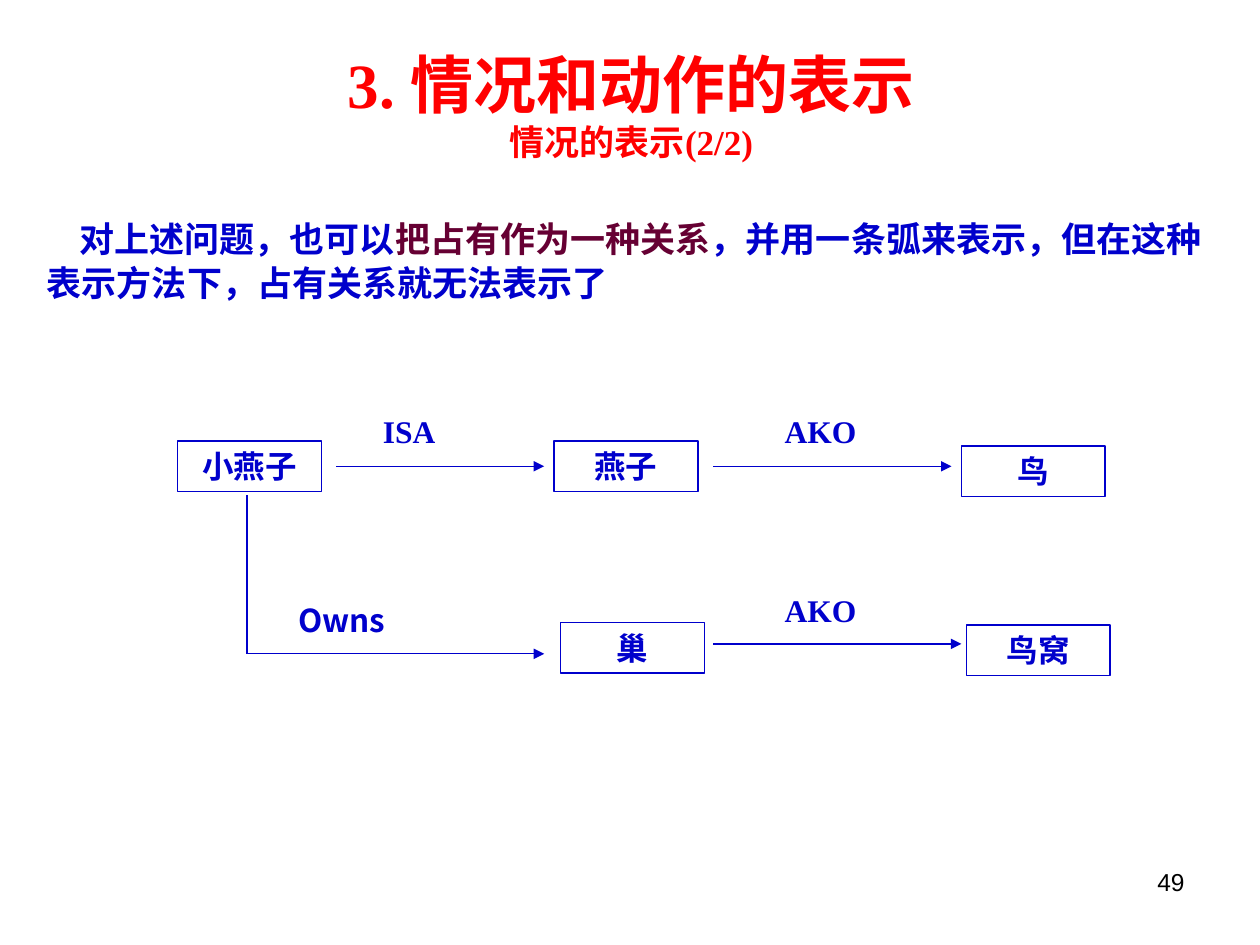
from lxml import etree
from pptx import Presentation
from pptx import util as u
from pptx.dml.color import RGBColor
from pptx.enum import shapes, text
from pptx.oxml import ns

COLORS = {"heading": "FF0000", "ink": "0000CC", "accent": "660033", "number": "000000"}
SERIF, SANS, CJK = "Times New Roman", "Arial", "Noto Sans CJK SC"
CENTER, LEFT, RIGHT = text.PP_ALIGN.CENTER, text.PP_ALIGN.LEFT, text.PP_ALIGN.RIGHT


def place(part, left, top, width, height):
    part.left, part.top, part.width, part.height = map(u.Cm, (left, top, width, height))


def add_text(paragraph, words, size=18, font=SERIF, color="ink", bold=True, align=LEFT):
    paragraph.alignment = align
    run = paragraph.add_run()
    run.text = words
    run.font.size = u.Pt(size)
    run.font.name = font
    run.font.bold = bold
    run.font.color.rgb = RGBColor.from_string(COLORS[color])
    east_asian = etree.Element(ns.qn("a:ea"), typeface=CJK)
    run.font._element.find(ns.qn("a:latin")).addnext(east_asian)


def add_label(slide, box, words, **style):
    label = slide.shapes.add_textbox(*map(u.Cm, box))
    label.text_frame.word_wrap = True
    add_text(label.text_frame.paragraphs[0], words, **style)


def add_node(slide, left, top, words):
    node = slide.shapes.add_shape(
        shapes.MSO_SHAPE.RECTANGLE, *map(u.Cm, (left, top, 2.9, 1.02)))
    node.shadow.inherit = False
    node.fill.background()
    node.line.color.rgb = RGBColor.from_string(COLORS["ink"])
    node.line.width = u.Pt(0.75)
    frame = node.text_frame
    frame.word_wrap = True
    frame.margin_left = frame.margin_right = u.Cm(0.05)
    add_text(frame.paragraphs[0], words, font=SANS, align=CENTER)


def add_arc(slide, start_x, start_y, end_x, end_y, arrow=True):
    arc = slide.shapes.add_connector(
        shapes.MSO_CONNECTOR.STRAIGHT, *map(u.Cm, (start_x, start_y, end_x, end_y)))
    arc.line.color.rgb = RGBColor.from_string(COLORS["ink"])
    arc.line.width = u.Pt(0.75)
    if arrow:
        etree.SubElement(arc.line._get_or_add_ln(), ns.qn("a:tailEnd"), type="triangle")
    etree.SubElement(arc._element.spPr, ns.qn("a:effectLst"))


def build_heading(slide, box):
    heading = slide.shapes.title
    place(heading, *box)
    frame = heading.text_frame
    frame.vertical_anchor = text.MSO_ANCHOR.MIDDLE
    paragraph = frame.paragraphs[0]
    add_text(paragraph, "3. 情况和动作的表示", size=36, color="heading", align=CENTER)
    paragraph.add_line_break()
    add_text(paragraph, "情况的表示(2/2)", size=20, color="heading", align=CENTER)


def build_statement(slide, box):
    statement = slide.placeholders[1]
    place(statement, *box)
    frame = statement.text_frame
    frame.auto_size = text.MSO_AUTO_SIZE.NONE
    frame.vertical_anchor = text.MSO_ANCHOR.TOP
    paragraph = frame.paragraphs[0]
    paragraph.line_spacing = 1.05
    paragraph.space_before = u.Pt(5)
    for words, color in (
        ("对上述问题，也可以", "ink"),
        ("把占有作为一种关系", "accent"),
        ("，并用一条弧来表示，但在这种表示方法下，占有关系就无法表示了", "ink"),
    ):
        add_text(paragraph, words, size=20, color=color)
    properties = paragraph._p.get_or_add_pPr()
    properties.set("marL", "0")
    properties.set("indent", str(u.Cm(0.66)))
    etree.SubElement(properties, ns.qn("a:buNone"))


def build_network(slide, left, top):
    for x, y, words in (
        (0, 0.71, "小燕子"), (7.59, 0.71, "燕子"), (15.8, 0.81, "鸟"),
        (7.72, 4.37, "巢"), (15.9, 4.42, "鸟窝"),
    ):
        add_node(slide, left + x, top + y, words)
    for start_x, end_x, y in (
        (3.2, 7.39, 1.22), (10.8, 15.6, 1.22), (1.4, 7.39, 5), (10.8, 15.8, 4.8),
    ):
        add_arc(slide, left + start_x, top + y, left + end_x, top + y)
    add_arc(slide, left + 1.4, top + 1.8, left + 1.4, top + 5, arrow=False)
    for x, y, words, font in (
        (3.89, 0, "ISA", SERIF), (11.99, 0, "AKO", SERIF),
        (2.18, 3.81, "Owns", CJK), (11.99, 3.61, "AKO", SERIF),
    ):
        add_label(slide, (left + x, top + y, 2.8, 1.02), words, font=font)


def build_page_number(slide, box):
    add_label(slide, box, "49", size=14, font=SANS, color="number", bold=False, align=RIGHT)


def main():
    deck = Presentation()
    deck.slide_width, deck.slide_height = u.Cm(25.4), u.Cm(19.05)
    slide = deck.slides.add_slide(deck.slide_layouts[1])
    build_heading(slide, (1.3, 0.64, 22.86, 2.92))
    build_statement(slide, (0.69, 4.22, 24.2, 2.03))
    build_network(slide, 3.58, 8.18)
    build_page_number(slide, (18.21, 17.35, 5.92, 1.32))
    deck.save("out.pptx")


if __name__ == "__main__":
    main()
